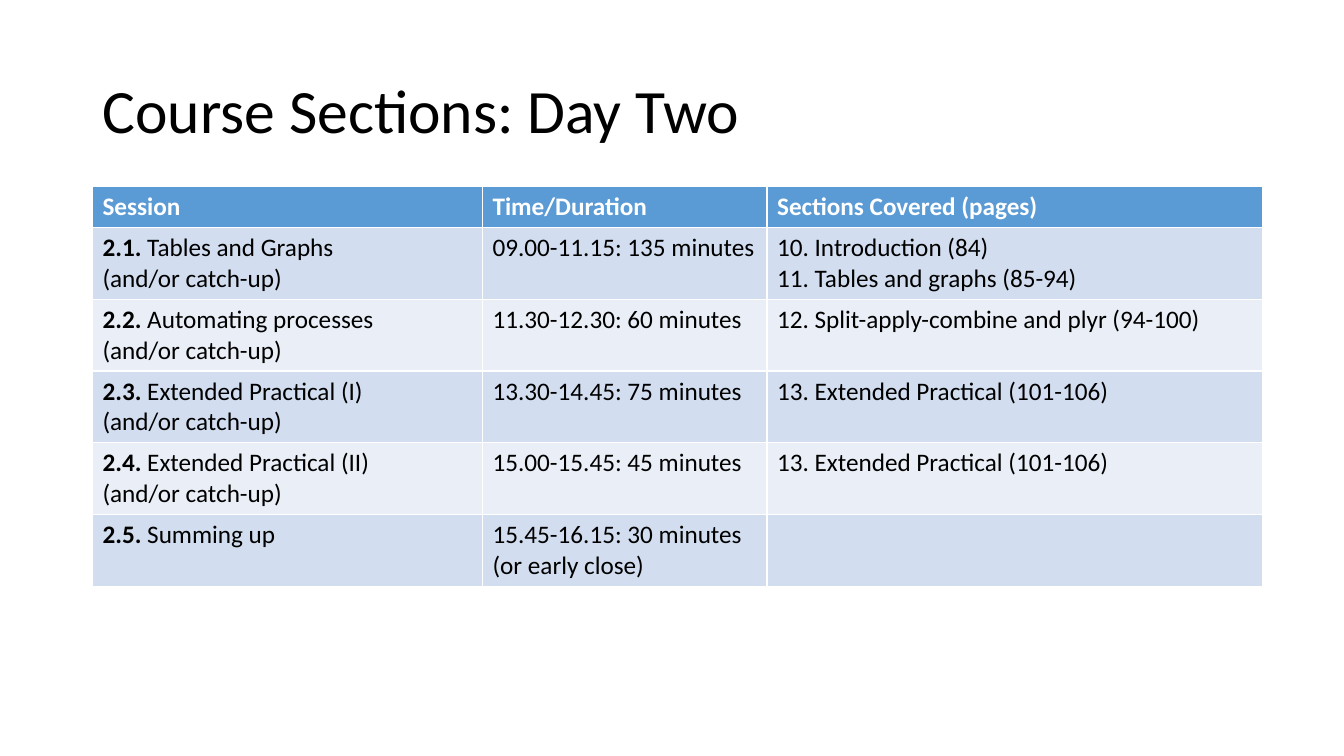
from pptx import Presentation
from pptx.dml.color import RGBColor
from pptx.enum.text import MSO_ANCHOR, PP_ALIGN
from pptx.util import Cm, Pt

COLORS = {
    "text": "000000",
    "header_text": "FFFFFF",
    "header": "5B9BD5",
    "odd": "D2DEEF",
    "even": "EAEFF7",
}
CATCH_UP = "(and/or catch-up)"
PRACTICAL = "13. Extended Practical (101-106)"
HEADERS = ["Session", "Time/Duration", "Sections Covered (pages)"]
SESSIONS = [
    (["2.1. Tables and Graphs", CATCH_UP], ["09.00-11.15: 135 minutes"],
     ["10. Introduction (84)", "11. Tables and graphs (85-94)"]),
    (["2.2. Automating processes", CATCH_UP], ["11.30-12.30: 60 minutes"],
     ["12. Split-apply-combine and plyr (94-100)"]),
    (["2.3. Extended Practical (I)", CATCH_UP], ["13.30-14.45: 75 minutes"], [PRACTICAL]),
    (["2.4. Extended Practical (II)", CATCH_UP], ["15.00-15.45: 45 minutes"], [PRACTICAL]),
    (["2.5. Summing up"], ["15.45-16.15: 30 minutes (or early close)"], []),
]


class SlideBuilder:
    """Holds the style and the current slide, and adds elements to it."""

    def __init__(self, s, font="Calibri"):
        self.s = s
        self.font = font

    def style(self, p, size, color, bold=None):
        p.font.name = self.font
        p.font.size = Pt(size)
        p.font.bold = bold
        p.font.color.rgb = RGBColor.from_string(COLORS[color])

    def title(self, text, left, top, width, height):
        sp = self.s.shapes.title
        sp.left, sp.top, sp.width, sp.height = Cm(left), Cm(top), Cm(width), Cm(height)
        tf = sp.text_frame
        tf.text = text
        tf.word_wrap = True
        tf.vertical_anchor = MSO_ANCHOR.MIDDLE
        p = tf.paragraphs[0]
        p.alignment = PP_ALIGN.LEFT
        p.line_spacing = 0.9
        self.style(p, 44, "text")

    def cell(self, cell, lines, fill, color="text", bold=False, numbered=False):
        cell.fill.solid()
        cell.fill.fore_color.rgb = RGBColor.from_string(COLORS[fill])
        tf = cell.text_frame
        for i, line in enumerate(lines):
            p = tf.paragraphs[0] if i == 0 else tf.add_paragraph()
            self.style(p, 18, color, bold)
            if numbered and i == 0:
                number, name = line.split(" ", 1)
                p.add_run().text = number
                p.runs[0].font.bold = True
                line = " " + name
            p.add_run().text = line

    def table(self, headers, rows, left, top, widths, header_height, row_height):
        height = header_height + row_height * len(rows)
        frame = self.s.shapes.add_table(len(rows) + 1, len(headers), Cm(left), Cm(top),
                                        Cm(sum(widths)), Cm(height))
        table = frame.table
        for column, width in zip(table.columns, widths):
            column.width = Cm(width)
        table.rows[0].height = Cm(header_height)
        for j, text in enumerate(headers):
            self.cell(table.cell(0, j), [text], "header", "header_text", bold=True)
        for i, row in enumerate(rows, 1):
            table.rows[i].height = Cm(row_height)
            for j, lines in enumerate(row):
                self.cell(table.cell(i, j), lines, "odd" if i % 2 else "even", numbered=j == 0)


def main():
    prs = Presentation()
    prs.slide_width, prs.slide_height = Cm(33.87), Cm(19.05)
    builder = SlideBuilder(prs.slides.add_slide(prs.slide_layouts[5]))
    builder.title("Course Sections: Day Two", 2.33, 1.02, 29.21, 3.68)
    builder.table(HEADERS, SESSIONS, 2.33, 4.7, [9.83, 7.17, 12.5], 1.03, 1.81)
    prs.save("out.pptx")


if __name__ == "__main__":
    main()
